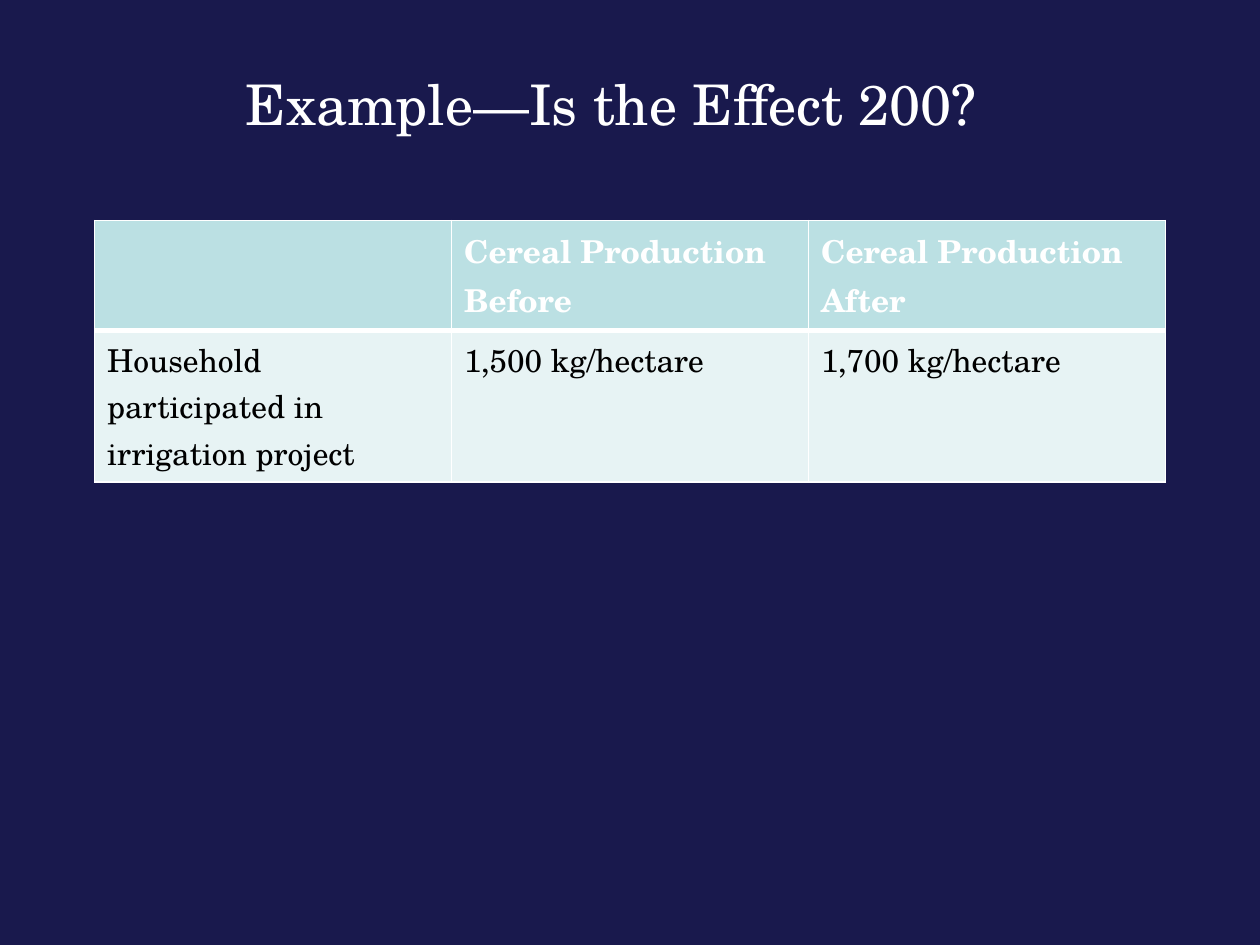
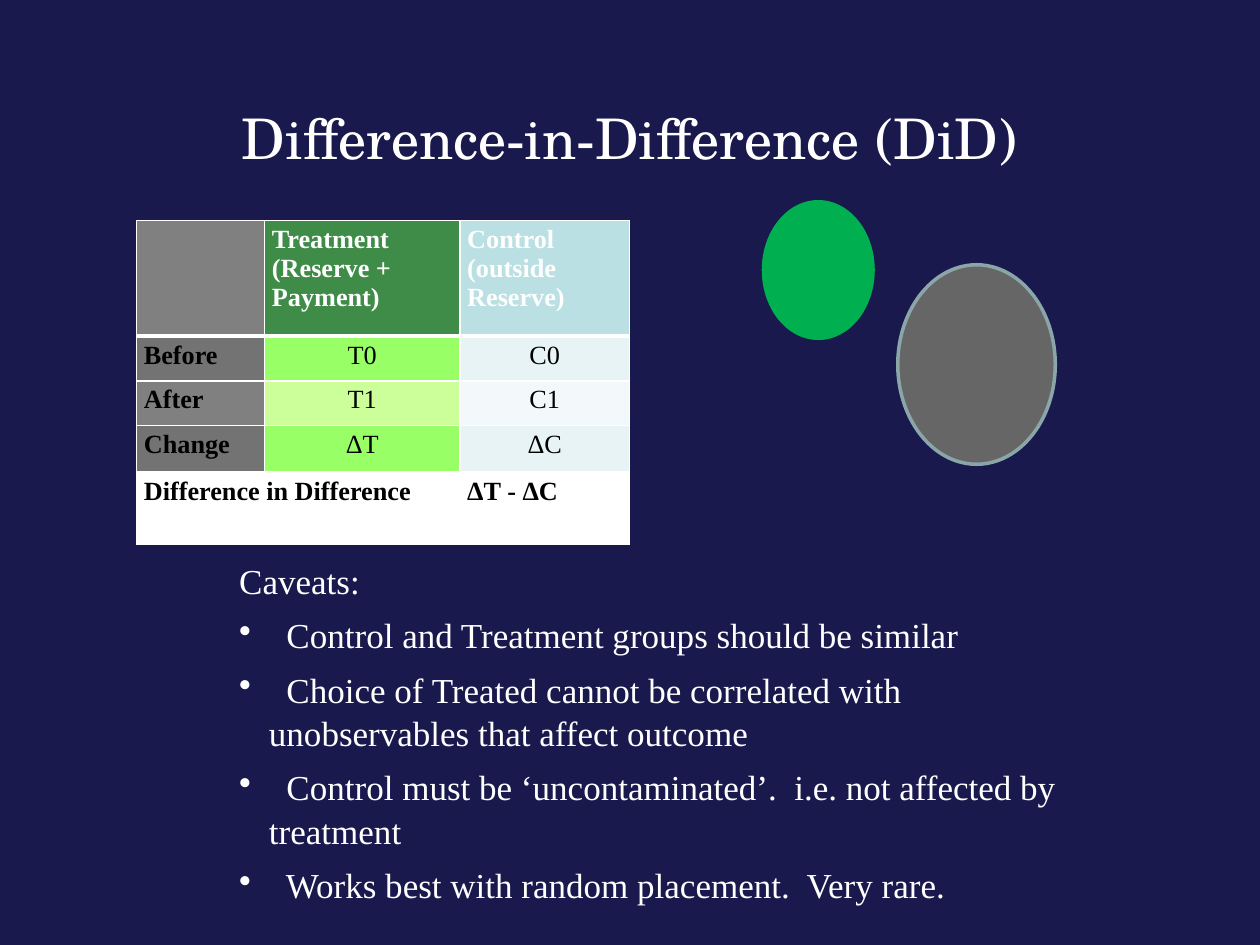
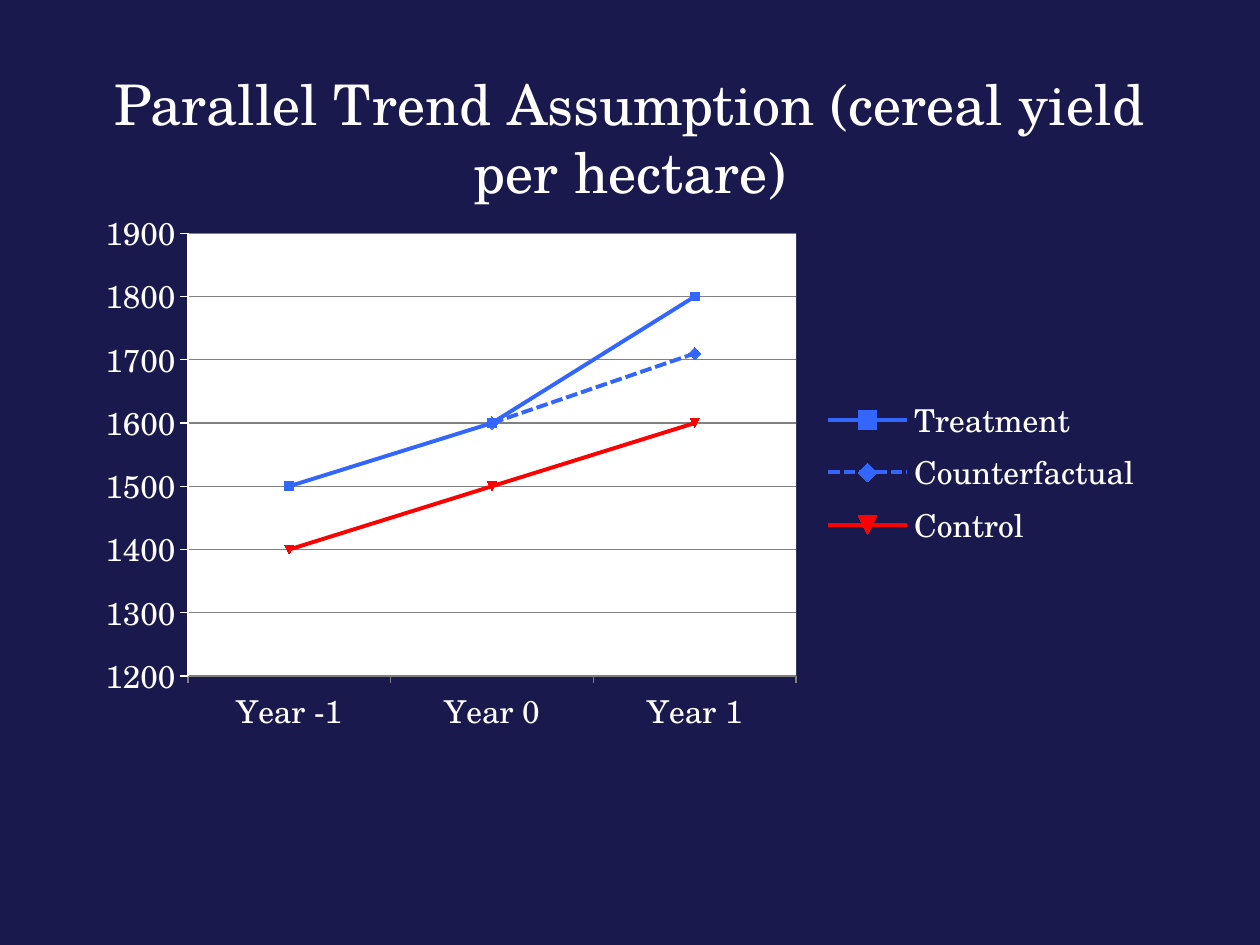
from lxml.etree import SubElement
from pptx import Presentation
from pptx.chart.data import CategoryChartData
from pptx.dml.color import RGBColor
from pptx.enum.chart import XL_CHART_TYPE, XL_LEGEND_POSITION, XL_MARKER_STYLE, XL_TICK_MARK
from pptx.enum.dml import MSO_LINE
from pptx.enum.shapes import MSO_SHAPE
from pptx.enum.text import MSO_ANCHOR, PP_ALIGN
from pptx.oxml.ns import qn
from pptx.util import Pt

# Shared look
NAVY, WHITE, BLACK = "19194D", "FFFFFF", "000000"
TEAL, MIST, PALE = "BBE0E3", "E7F3F4", "F3F9FA"
GRAY, SLATE = "808080", "737373"
LEAF, LIME, FERN = "99FF66", "CCFF99", "3F8B48"
BLUE, RED = "3366FF", "FF0000"
SERIF, TIMES = "TeX Gyre Schola", "Times New Roman"

# Content: table cells are (text, fill)
YIELD = {
    "at": (54, 126), "cols": [204] * 3, "rows": [63, 86.5],
    "pad": (7.2, 3.6), "font": (SERIF, 18),
    "cells": [
        [("", TEAL), ("Cereal Production Before", TEAL), ("Cereal Production After", TEAL)],
        [("Household participated in irrigation project", MIST),
         ("1,500 kg/hectare", MIST), ("1,700 kg/hectare", MIST)],
    ],
}
DID = {
    "at": (78, 126), "cols": [73.2, 111.6, 97], "rows": [66, 25.6, 25.6, 26.6, 41],
    "pad": (4.2, 2.8), "font": (TIMES, 15),
    "cells": [
        [("", GRAY), ("Treatment\n(Reserve +\nPayment)", FERN),
         ("Control\n(outside Reserve)", TEAL)],
        [("Before", SLATE), ("T0", LEAF), ("C0", MIST)],
        [("After", GRAY), ("T1", LIME), ("C1", PALE)],
        [("Change", SLATE), ("ΔT", LEAF), ("ΔC", MIST)],
        [("Difference in Difference", WHITE), ("", WHITE), ("ΔT - ΔC", WHITE)],
    ],
}
OVALS = [  # place, fill, line
    ((513, 151.3, 90, 114), "666666", "8AA6A8"),
    ((436.3, 115.3, 62.6, 78), "00B050", "00B050"),
]
NOTES = [
    "Caveats:",
    "  Control and Treatment groups should be similar",
    "  Choice of Treated cannot be correlated with unobservables that affect outcome",
    "  Control must be ‘uncontaminated’.  i.e. not affected by treatment",
    "  Works best with random placement.  Very rare.",
]
YEARS = ["Year -1", "Year 0", "Year 1"]
TRENDS = [  # name, values, colour, dash, marker, marker size
    ("Treatment", (1500, 1600, 1800), BLUE, None, XL_MARKER_STYLE.AUTOMATIC, 5),
    ("Counterfactual", (None, 1600, 1710), BLUE, MSO_LINE.SQUARE_DOT, XL_MARKER_STYLE.DIAMOND, 7),
    ("Control", (1400, 1500, 1600), RED, None, XL_MARKER_STYLE.AUTOMATIC, 5),
]
PLOT = {"x": 0.097, "y": 0.062, "w": 0.568, "h": 0.811}


def rgb(code):
    return RGBColor.from_string(code)


def put(obj, vals):
    for key, val in vals.items():
        setattr(obj, key, val)


def style(font, name, size, color=WHITE, bold=False):
    put(font, {"name": name, "size": Pt(size), "bold": bold})
    font.color.rgb = rgb(color)


def paint(fill, color):
    fill.solid()
    fill.fore_color.rgb = rgb(color)


def stroke(line, color, width):
    line.color.rgb = rgb(color)
    line.width = Pt(width)


def place(nums):
    return [Pt(n) for n in nums]


def start(deck, title, left=54):
    """Add a navy slide with its centred title."""
    slide = deck.slides.add_slide(deck.slide_layouts[6])
    paint(slide.background.fill, NAVY)
    frame = slide.shapes.add_textbox(*place((left, 48, 612, 60))).text_frame
    put(frame, {"word_wrap": True, "vertical_anchor": MSO_ANCHOR.MIDDLE, "text": title})
    para = frame.paragraphs[0]
    put(para, {"alignment": PP_ALIGN.CENTER, "line_spacing": Pt(39)})
    style(para.runs[0].font, SERIF, 32)
    return slide


def edge(cell, side, width):
    line = SubElement(cell._tc.get_or_add_tcPr(), qn("a:ln" + side), w=str(Pt(width)))
    SubElement(SubElement(line, qn("a:solidFill")), qn("a:srgbClr"), val=WHITE)


def grid(slide, spec):
    """Add a table with white rules and a heavy rule under its header."""
    cols, rows, cells = spec["cols"], spec["rows"], spec["cells"]
    spot = place((*spec["at"], sum(cols), sum(rows)))
    table = slide.shapes.add_table(len(rows), len(cols), *spot).table
    for col, width in zip(table.columns, cols):
        col.width = Pt(width)
    for row, high in zip(table.rows, rows):
        row.height = Pt(high)
    wide, tall = place(spec["pad"])
    for r, line in enumerate(cells):
        for c, (text, fill) in enumerate(line):
            cell = table.cell(r, c)
            put(cell, {"margin_left": wide, "margin_right": wide,
                       "margin_top": tall, "margin_bottom": tall, "text": text})
            for side in "LRTB":
                heavy = (r, side) in ((0, "B"), (1, "T"))
                edge(cell, side, 3 if heavy else 1)
            paint(cell.fill, fill)
            bold = r == 0 or (spec is DID and (c == 0 or r == len(rows) - 1))
            for para in cell.text_frame.paragraphs:
                if spec is DID and not bold:
                    para.alignment = PP_ALIGN.CENTER
                for run in para.runs:
                    style(run.font, *spec["font"], BLACK if r else WHITE, bold)
    return table


def caveats(slide):
    frame = slide.shapes.add_textbox(*place((129.6, 315.4, 500, 201))).text_frame
    frame.word_wrap = True
    for i, note in enumerate(NOTES):
        para = frame.add_paragraph() if i else frame.paragraphs[0]
        put(para, {"text": note, "space_after": Pt(6), "line_spacing": 1.04})
        style(para.runs[0].font, TIMES, 20)
        if i:
            props = para._p.get_or_add_pPr()
            props.set("marL", str(Pt(17)))
            props.set("indent", str(-Pt(17)))
            SubElement(props, qn("a:buChar"), char="•")


def trend(slide):
    data = CategoryChartData()
    data.categories = YEARS
    for name, vals, *_ in TRENDS:
        data.add_series(name, vals)
    spot = place((48, 114, 612, 312))
    chart = slide.shapes.add_chart(XL_CHART_TYPE.LINE_MARKERS, *spot, data).chart
    put(chart, {"has_title": False, "has_legend": True})
    style(chart.font, SERIF, 18, BLACK)
    put(chart.legend, {"position": XL_LEGEND_POSITION.RIGHT, "include_in_layout": False})
    style(chart.legend.font, SERIF, 18)

    # Axes and gridlines
    rise, years = chart.value_axis, chart.category_axis
    put(rise, {"minimum_scale": 1200, "maximum_scale": 1900, "major_unit": 100})
    for axis, color in ((rise, WHITE), (years, GRAY)):
        axis.major_tick_mark = XL_TICK_MARK.OUTSIDE
        style(axis.tick_labels.font, SERIF, 18)
        stroke(axis.format.line, color, 0.75)
    stroke(rise.major_gridlines.format.line, GRAY, 0.75)

    # Lines and markers
    chart.plots[0].vary_by_categories = False
    for line, (_, _, color, dash, mark, size) in zip(chart.plots[0].series, TRENDS):
        line.smooth = False
        stroke(line.format.line, color, 2.25)
        if dash:
            line.format.line.dash_style = dash
        put(line.marker, {"style": mark, "size": size})
        paint(line.marker.format.fill, color)
        stroke(line.marker.format.line, color, 0.75)

    # Plot area: fixed place, white ground
    area = chart._chartSpace.chart.plotArea
    frame = area.find(qn("c:layout"))
    if frame is None:
        frame = SubElement(area, qn("c:layout"))
        area.insert(0, frame)
    box = SubElement(frame, qn("c:manualLayout"))
    SubElement(box, qn("c:layoutTarget"), val="inner")
    for key in "xy":
        SubElement(box, qn(f"c:{key}Mode"), val="edge")
    for key, val in PLOT.items():
        SubElement(box, qn("c:" + key), val=str(val))
    fill = SubElement(SubElement(area, qn("c:spPr")), qn("a:solidFill"))
    SubElement(fill, qn("a:srgbClr"), val=WHITE)


def main():
    deck = Presentation()
    put(deck, {"slide_width": Pt(720), "slide_height": Pt(540)})

    grid(start(deck, "Example—Is the Effect 200? \v", 48), YIELD)

    slide = start(deck, "Difference-in-Difference (DiD)")
    table = grid(slide, DID)
    table.cell(4, 0).merge(table.cell(4, 1))
    for spot, fill, line in OVALS:
        oval = slide.shapes.add_shape(MSO_SHAPE.OVAL, *place(spot))
        oval.shadow.inherit = False
        paint(oval.fill, fill)
        stroke(oval.line, line, 2)
    caveats(slide)

    trend(start(deck, "Parallel Trend Assumption (cereal yield per hectare)"))
    deck.save("out.pptx")


if __name__ == "__main__":
    main()
